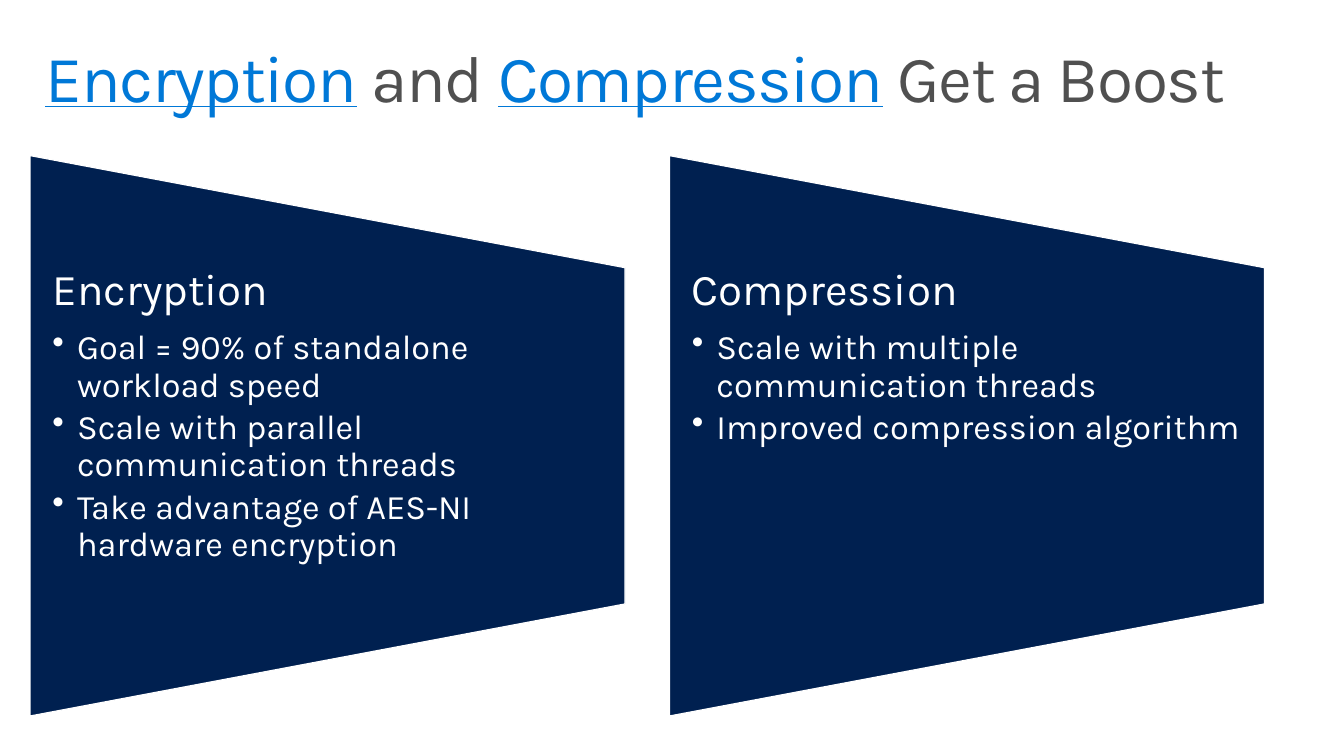
from dataclasses import dataclass

from lxml.etree import SubElement
from pptx import Presentation
from pptx.dml.color import RGBColor
from pptx.enum.shapes import MSO_SHAPE
from pptx.enum.text import MSO_ANCHOR, MSO_AUTO_SIZE, PP_ALIGN
from pptx.oxml.ns import qn
from pptx.util import Inches, Pt


@dataclass(frozen=True)
class Theme:
    font: str = "Karla"
    navy: RGBColor = RGBColor(0x00, 0x20, 0x50)
    blue: RGBColor = RGBColor(0x00, 0x78, 0xD7)
    gray: RGBColor = RGBColor(0x50, 0x50, 0x50)
    white: RGBColor = RGBColor(0xFF, 0xFF, 0xFF)
    title_size: Pt = Pt(48)
    heading_size: Pt = Pt(32)
    bullet_size: Pt = Pt(25)


THEME = Theme()


def set_frame(text_frame, anchor, left, top, right, bottom):
    """Fix the anchor, wrapping and margins (in inches) of a text frame."""
    frame_format = {
        "word_wrap": True,
        "auto_size": MSO_AUTO_SIZE.NONE,
        "vertical_anchor": anchor,
        "margin_left": Inches(left),
        "margin_top": Inches(top),
        "margin_right": Inches(right),
        "margin_bottom": Inches(bottom),
    }
    for name, value in frame_format.items():
        setattr(text_frame, name, value)


def add_styled_run(paragraph, text, size, color, underline=False):
    run = paragraph.add_run()
    run.text = text
    run.font.color.rgb = color
    font_format = {"name": THEME.font, "size": size, "bold": False, "underline": underline}
    for name, value in font_format.items():
        setattr(run.font, name, value)
    return run


presentation = Presentation()
presentation.slide_width = Inches(13.6)
presentation.slide_height = Inches(7.65)
slide = presentation.slides.add_slide(presentation.slide_layouts[5])

# Title
title = slide.shapes.title
title.left, title.top = Inches(0.3), Inches(0.32)
title.width, title.height = Inches(13), Inches(1)
set_frame(title.text_frame, MSO_ANCHOR.MIDDLE, 0.16, 0.1, 0.16, 0.1)
title_paragraph = title.text_frame.paragraphs[0]
title_paragraph.alignment = PP_ALIGN.LEFT
title_paragraph.line_spacing = 0.9
title_parts = [
    ("Encryption", True),
    (" and ", False),
    ("Compression", True),
    (" Get a Boost", False),
]
for text, is_topic in title_parts:
    color = THEME.blue if is_topic else THEME.gray
    run = add_styled_run(title_paragraph, text, THEME.title_size, color, is_topic)
    run.font._element.set("spc", "-100")

# Panels
panels = [
    ("Encryption", [
        "Goal = 90% of standalone workload speed",
        "Scale with parallel communication threads",
        "Take advantage of AES-NI hardware encryption",
    ]),
    ("Compression", [
        "Scale with multiple communication threads",
        "Improved compression algorithm",
    ]),
]
PANEL_LEFT, PANEL_STEP = 0.31, 6.47
PANEL_WIDTH = 6.02

for index, (heading, bullets) in enumerate(panels):
    left = PANEL_LEFT + index * PANEL_STEP
    # The quarter turn swaps the drawn width and height.
    panel = slide.shapes.add_shape(
        MSO_SHAPE.FLOWCHART_MANUAL_OPERATION,
        Inches(left + 0.17), Inches(1.4), Inches(5.67), Inches(PANEL_WIDTH))
    panel.rotation = 270
    panel.shadow.inherit = False
    panel.fill.solid()
    panel.fill.fore_color.rgb = THEME.navy
    panel.line.color.rgb = THEME.white
    panel.line.width = Pt(0.85)

    text_box = slide.shapes.add_textbox(
        Inches(left), Inches(2.71), Inches(PANEL_WIDTH), Inches(3.4))
    text_frame = text_box.text_frame
    set_frame(text_frame, MSO_ANCHOR.TOP, 0.22, 0, 0.23, 0)
    heading_paragraph = text_frame.paragraphs[0]
    heading_paragraph.line_spacing = 0.9
    heading_paragraph.space_after = Pt(11)
    add_styled_run(heading_paragraph, heading, THEME.heading_size, THEME.white)

    for bullet in bullets:
        paragraph = text_frame.add_paragraph()
        paragraph.level = 1
        paragraph.line_spacing = 0.9
        paragraph.space_after = Pt(4)
        properties = paragraph._p.get_or_add_pPr()
        properties.set("marL", str(Inches(0.25)))
        properties.set("indent", str(Inches(-0.25)))
        SubElement(properties, qn("a:buChar"), char="•")
        add_styled_run(paragraph, bullet, THEME.bullet_size, THEME.white)

presentation.save("out.pptx")
